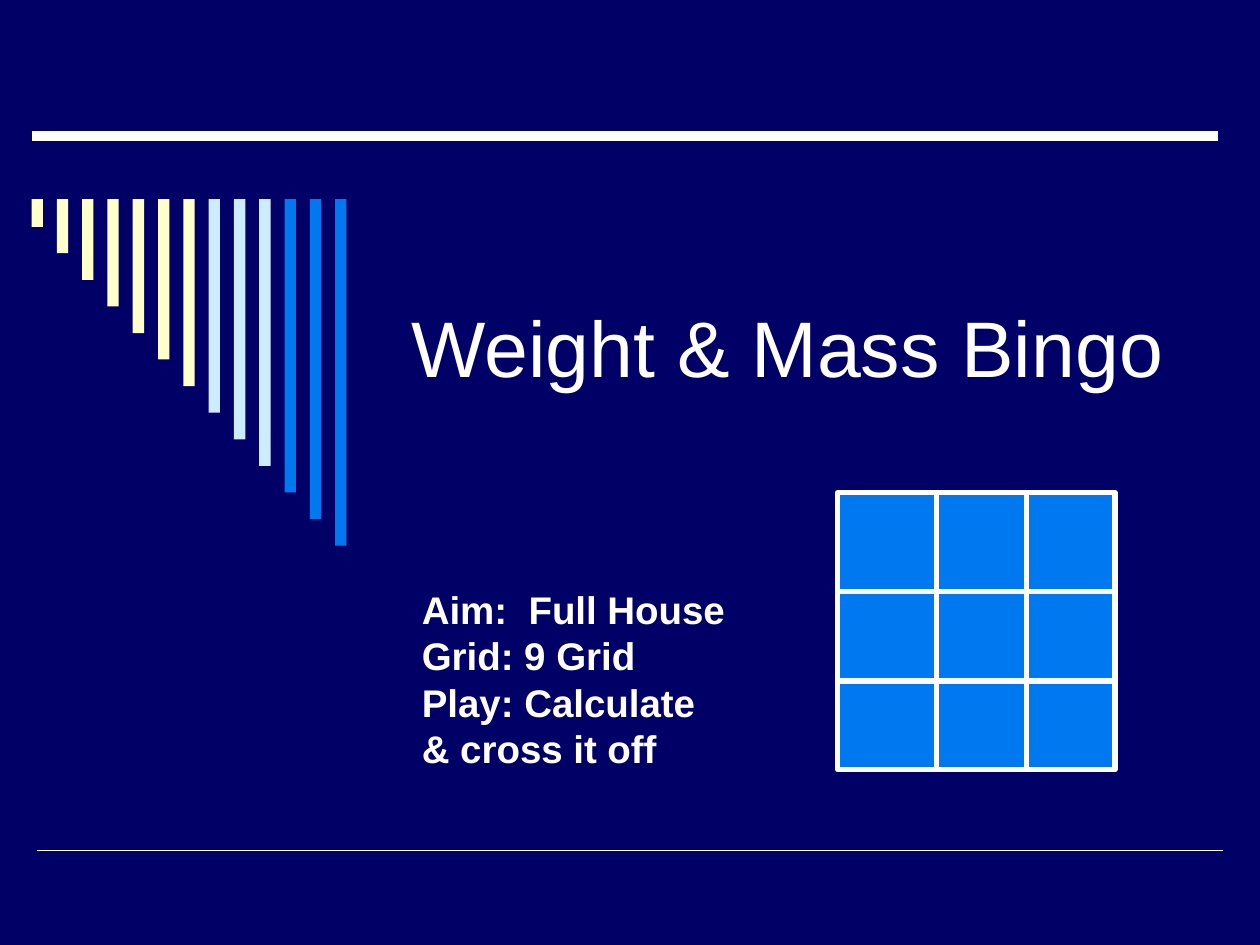
from typing import NamedTuple

from lxml import etree
from pptx import Presentation
from pptx.dml.color import RGBColor
from pptx.enum.shapes import MSO_CONNECTOR, MSO_SHAPE
from pptx.enum.text import MSO_ANCHOR
from pptx.oxml.ns import qn
from pptx.util import Inches, Pt

STRAIGHT = MSO_CONNECTOR.STRAIGHT
RECTANGLE = MSO_SHAPE.RECTANGLE
TOP, MIDDLE = MSO_ANCHOR.TOP, MSO_ANCHOR.MIDDLE

NAVY = RGBColor(0x00, 0x00, 0x66)
WHITE = RGBColor(0xFF, 0xFF, 0xFF)
CREAM = RGBColor(0xFF, 0xFF, 0xCC)
PALE_BLUE = RGBColor(0xCC, 0xEC, 0xFF)
BLUE = RGBColor(0x00, 0x78, 0xF0)

BAR_COLORS = [CREAM] * 7 + [PALE_BLUE] * 3 + [BLUE] * 3
BAR_LEFT, BAR_TOP, BAR_WIDTH = 0.25, 1.58, 0.09
BAR_SPAN = 2.41
SHORTEST_BAR, LONGEST_BAR = 0.22, 2.75

GRID_LEFT, GRID_TOP, GRID_SIZE = 6.65, 3.91, 2.2
GRID_DIVISIONS = (0.785, 1.495)


class Box(NamedTuple):
    left: float
    top: float
    width: float
    height: float


class Rule(NamedTuple):
    x1: float
    y1: float
    x2: float
    y2: float
    weight: float


class TextStyle(NamedTuple):
    size: float
    bold: bool
    anchor: MSO_ANCHOR
    line_spacing: float
    space_before: float


TITLE_STYLE = TextStyle(45, False, MIDDLE, 1.0, 0)
RULES_STYLE = TextStyle(22, True, TOP, 0.8, 5.5)


def add_rule(shapes, rule: Rule) -> None:
    ends = [Inches(value) for value in rule[:4]]
    connector = shapes.add_connector(STRAIGHT, *ends)
    connector.line.color.rgb = WHITE
    connector.line.width = Pt(rule.weight)
    etree.SubElement(connector._element.spPr, qn("a:effectLst"))


def add_rectangle(shapes, box: Box, fill: RGBColor, outline: float = 0) -> None:
    """Draw a filled rectangle, with a white outline if a weight is given."""
    shape = shapes.add_shape(RECTANGLE, *(Inches(value) for value in box))
    shape.shadow.inherit = False
    shape.fill.solid()
    shape.fill.fore_color.rgb = fill
    if outline:
        shape.line.color.rgb = WHITE
        shape.line.width = Pt(outline)
    else:
        shape.line.fill.background()


def add_text(shapes, box: Box, text: str, style: TextStyle) -> None:
    text_frame = shapes.add_textbox(*(Inches(value) for value in box)).text_frame
    text_frame.word_wrap = True
    text_frame.vertical_anchor = style.anchor
    text_frame.text = text
    for paragraph in text_frame.paragraphs:
        paragraph.line_spacing = style.line_spacing
        paragraph.space_before = Pt(style.space_before)
        for run in paragraph.runs:
            run.font.name = "Arial"
            run.font.size = Pt(style.size)
            run.font.bold = style.bold
            run.font.color.rgb = WHITE


def add_bars(shapes) -> None:
    """Draw the hanging bars, which grow evenly from left to right."""
    group = shapes.add_group_shape()
    steps = len(BAR_COLORS) - 1
    for index, color in enumerate(BAR_COLORS):
        left = BAR_LEFT + index * BAR_SPAN / steps
        height = SHORTEST_BAR + index * (LONGEST_BAR - SHORTEST_BAR) / steps
        add_rectangle(group.shapes, Box(left, BAR_TOP, BAR_WIDTH, height), color)


def add_bingo_grid(shapes) -> None:
    group = shapes.add_group_shape()
    add_rectangle(group.shapes, Box(GRID_LEFT, GRID_TOP, GRID_SIZE, GRID_SIZE), BLUE, 3)
    right, bottom = GRID_LEFT + GRID_SIZE, GRID_TOP + GRID_SIZE
    for offset in GRID_DIVISIONS:
        x, y = GRID_LEFT + offset, GRID_TOP + offset
        add_rule(group.shapes, Rule(x, GRID_TOP, x, bottom, 3))
        add_rule(group.shapes, Rule(GRID_LEFT, y, right, y, 3))


def main() -> None:
    presentation = Presentation()
    presentation.slide_width = Inches(10)
    presentation.slide_height = Inches(7.5)
    slide = presentation.slides.add_slide(presentation.slide_layouts[6])
    slide.background.fill.solid()
    slide.background.fill.fore_color.rgb = NAVY
    shapes = slide.shapes

    add_rule(shapes, Rule(0.25, 1.08, 9.67, 1.08, 5.25))
    add_bars(shapes)
    add_rule(shapes, Rule(0.29, 6.75, 9.71, 6.75, 1))
    add_text(shapes, Box(3.17, 1.5, 6.42, 2.5), "Weight & Mass Bingo", TITLE_STYLE)
    add_text(
        shapes,
        Box(3.25, 4.67, 6.33, 1.58),
        "Aim:  Full House\nGrid: 9 Grid\nPlay: Calculate\n& cross it off",
        RULES_STYLE,
    )
    add_bingo_grid(shapes)
    presentation.save("out.pptx")


if __name__ == "__main__":
    main()
